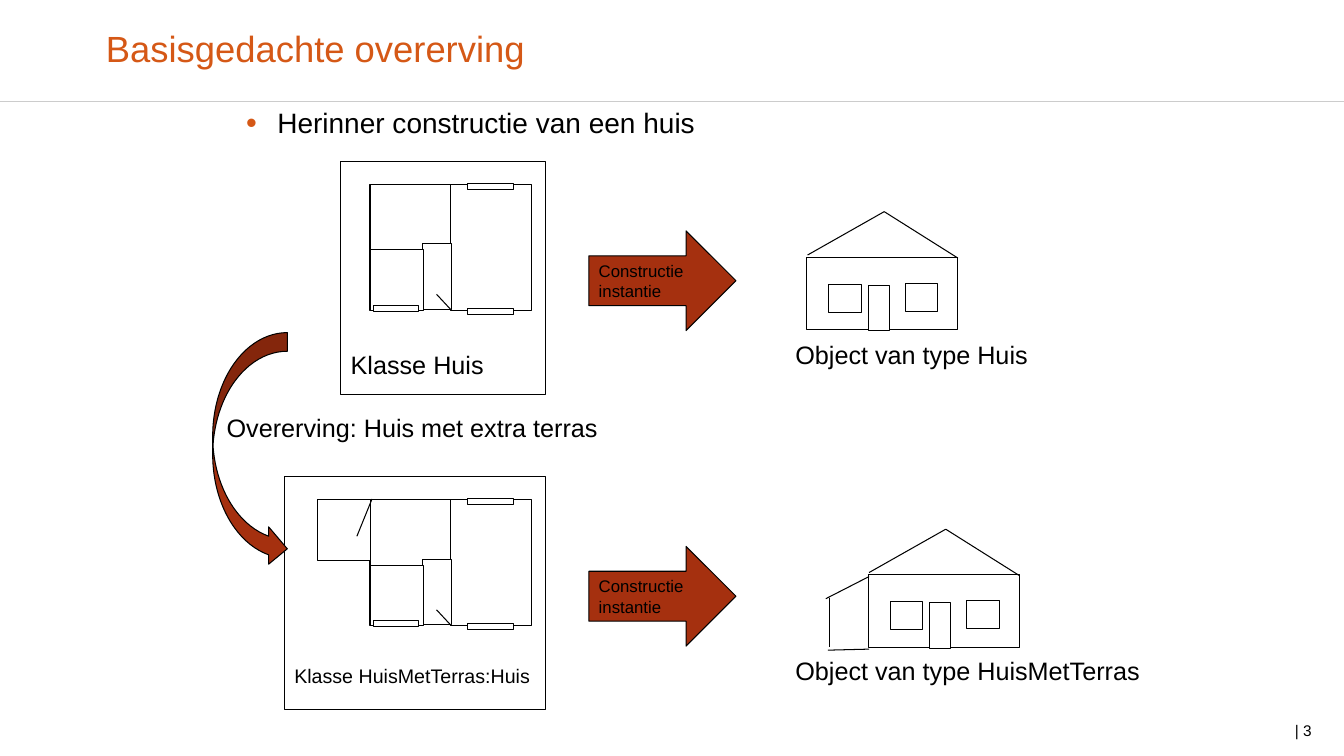
"""Build a slide on inheritance with house plans, built houses and arrows."""
from dataclasses import dataclass

from lxml.etree import SubElement
from pptx import Presentation
from pptx.dml.color import RGBColor
from pptx.enum.shapes import MSO_CONNECTOR, MSO_SHAPE
from pptx.enum.text import MSO_ANCHOR, PP_ALIGN
from pptx.oxml.ns import qn
from pptx.util import Inches, Pt


@dataclass(frozen=True)
class Theme:
    font: str = "Arial"
    accent: str = "D55816"
    arrow: str = "A5300F"
    ink: str = "000000"
    paper: str = "FFFFFF"
    rule: str = "CCCCCC"
    title: int = 26
    body: int = 20
    label: int = 18
    small_label: int = 14
    step: int = 12
    number: int = 11
    outline: float = 0.75


@dataclass(frozen=True)
class Box:
    left: float
    top: float
    width: float
    height: float

    def lengths(self, dx: float = 0, dy: float = 0) -> tuple:
        return tuple(Inches(v) for v in (self.left + dx, self.top + dy, self.width, self.height))


@dataclass(frozen=True)
class Stroke:
    x1: float
    y1: float
    x2: float
    y2: float


@dataclass(frozen=True)
class Drawing:
    boxes: tuple[Box, ...]
    strokes: tuple[Stroke, ...]


@dataclass(frozen=True)
class Example:
    card: Box
    class_name: str
    class_size: int
    class_inset: float
    plan_top: float
    arrow_top: float
    house_left: float
    house_top: float
    object_name: str
    object_box: Box


THEME = Theme()

PLAN = Drawing(
    (Box(0, 0, 0.8, 0.65), Box(0.8, 0, 0.8, 1.25), Box(0.52, 0.59, 0.29, 0.65),
     Box(0, 0.65, 0.53, 0.6), Box(0.03, 1.2, 0.45, 0.06),
     Box(0.97, 1.23, 0.45, 0.06), Box(0.97, -0.01, 0.45, 0.06)),
    (Stroke(0.66, 1.09, 0.8, 1.24),),
)
HOUSE = Drawing(
    (Box(0, 0, 1.5, 0.72), Box(0.22, 0.27, 0.32, 0.28),
     Box(0.98, 0.26, 0.32, 0.28), Box(0.61, 0.28, 0.21, 0.45)),
    (Stroke(0.01, -0.02, 0.77, -0.45), Stroke(0.77, -0.45, 1.5, 0.01)),
)
TERRACE = Drawing(
    (Box(3.15, 4.96, 0.53, 0.6),),
    (Stroke(3.54, 5.32, 3.69, 4.95), Stroke(8.62, 5.72, 8.19, 5.94),
     Stroke(8.23, 5.93, 8.23, 6.42), Stroke(8.21, 6.45, 8.62, 6.44)),
)
PLAN_LEFT = 3.67
EXAMPLES = (
    Example(Box(3.38, 1.6, 2.03, 2.31), "Klasse Huis", THEME.label, 0.14, 1.83, 2.29,
            8, 2.55, "Object van type Huis", Box(7.79, 3.32, 2.53, 0.4)),
    Example(Box(2.82, 4.73, 2.59, 2.31), "Klasse HuisMetTerras:Huis", THEME.small_label, 0.22,
            4.96, 5.42, 8.61, 5.7, "Object van type HuisMetTerras", Box(7.79, 6.45, 3.65, 0.4)),
)


def write(shape, text: str, *, size: int, color: str = THEME.ink, anchor=MSO_ANCHOR.TOP,
          align=PP_ALIGN.LEFT, inset: bool = True, bottom: float | None = None,
          wrap: bool = True, spacing: float | None = None, bullet: bool = False) -> None:
    frame = shape.text_frame
    frame.word_wrap = wrap
    frame.vertical_anchor = anchor
    if not inset:
        frame.margin_left = frame.margin_top = frame.margin_right = frame.margin_bottom = 0
    if bottom is not None:
        frame.margin_bottom = Inches(bottom)
    frame.text = text
    for paragraph in frame.paragraphs:
        paragraph.alignment = align
        if spacing:
            paragraph.line_spacing = spacing
        if bullet:
            add_bullet(paragraph)
        font = paragraph.font
        font.name, font.size = THEME.font, Pt(size)
        font.color.rgb = RGBColor.from_string(color)


def add_bullet(paragraph) -> None:
    props = paragraph._p.get_or_add_pPr()
    props.set("marL", str(Inches(0.31)))
    props.set("indent", str(-Inches(0.31)))
    SubElement(SubElement(props, qn("a:buClr")), qn("a:srgbClr"), val=THEME.accent)
    SubElement(props, qn("a:buSzPct"), val="110000")
    SubElement(props, qn("a:buFont"), typeface=THEME.font)
    SubElement(props, qn("a:buChar"), char="•")


def add_block(shapes, box: Box, dx: float = 0, dy: float = 0, *,
              kind=MSO_SHAPE.RECTANGLE, fill: str = THEME.paper):
    block = shapes.add_shape(kind, *box.lengths(dx, dy))
    block.shadow.inherit = False
    block.fill.solid()
    block.fill.fore_color.rgb = RGBColor.from_string(fill)
    block.line.color.rgb = RGBColor.from_string(THEME.ink)
    block.line.width = Pt(THEME.outline)
    return block


def add_stroke(shapes, stroke: Stroke, dx: float = 0, dy: float = 0, *,
               color: str = THEME.ink, width: float = THEME.outline) -> None:
    line = shapes.add_connector(
        MSO_CONNECTOR.STRAIGHT, Inches(stroke.x1 + dx), Inches(stroke.y1 + dy),
        Inches(stroke.x2 + dx), Inches(stroke.y2 + dy))
    line.line.color.rgb = RGBColor.from_string(color)
    line.line.width = Pt(width)
    SubElement(line._element.spPr, qn("a:effectLst"))


def add_drawing(shapes, drawing: Drawing, dx: float = 0, dy: float = 0) -> None:
    for box in drawing.boxes:
        add_block(shapes, box, dx, dy)
    for stroke in drawing.strokes:
        add_stroke(shapes, stroke, dx, dy)


def add_label(shapes, box: Box, text: str, **style) -> None:
    write(shapes.add_textbox(*box.lengths()), text, **style)


def add_example(shapes, example: Example) -> None:
    blueprint = shapes.add_group_shape().shapes
    write(add_block(blueprint, example.card), example.class_name, size=example.class_size,
          anchor=MSO_ANCHOR.BOTTOM, bottom=example.class_inset)
    add_drawing(blueprint, PLAN, PLAN_LEFT, example.plan_top)
    construction = add_block(shapes, Box(5.84, example.arrow_top, 1.46, 0.99),
                             kind=MSO_SHAPE.RIGHT_ARROW, fill=THEME.arrow)
    write(construction, "Constructie\ninstantie", size=THEME.step, anchor=MSO_ANCHOR.MIDDLE)
    add_drawing(shapes.add_group_shape().shapes, HOUSE, example.house_left, example.house_top)
    add_label(shapes, example.object_box, example.object_name, size=THEME.label, wrap=False)


def main() -> None:
    deck = Presentation()
    deck.slide_width, deck.slide_height = Inches(13.33), Inches(7.5)
    slide = deck.slides.add_slide(deck.slide_layouts[5])
    shapes = slide.shapes
    title = shapes.title
    title.left, title.top, title.width, title.height = Box(1.05, 0, 11.23, 1.01).lengths()
    write(title, "Basisgedachte overerving", size=THEME.title, color=THEME.accent,
          anchor=MSO_ANCHOR.MIDDLE, inset=False, spacing=0.9)
    add_stroke(shapes, Stroke(0, 1.01, 13.33, 1.01), color=THEME.rule, width=1)
    add_label(shapes, Box(2.44, 1.05, 8.98, 5.36), "Herinner constructie van een huis",
              size=THEME.body, inset=False, bullet=True)
    add_label(shapes, Box(9.5, 7.08, 3.51, 0.34), "| 3", size=THEME.number,
              anchor=MSO_ANCHOR.MIDDLE, align=PP_ALIGN.RIGHT, inset=False)
    for example in EXAMPLES:
        add_example(shapes, example)
    add_drawing(shapes, TERRACE)
    add_block(shapes, Box(2.11, 3.3, 0.74, 2.33),
              kind=MSO_SHAPE.CURVED_RIGHT_ARROW, fill=THEME.arrow)
    add_label(shapes, Box(2.15, 4.04, 4.84, 0.4), "Overerving: Huis met extra terras",
              size=THEME.label)
    deck.save("out.pptx")


if __name__ == "__main__":
    main()
